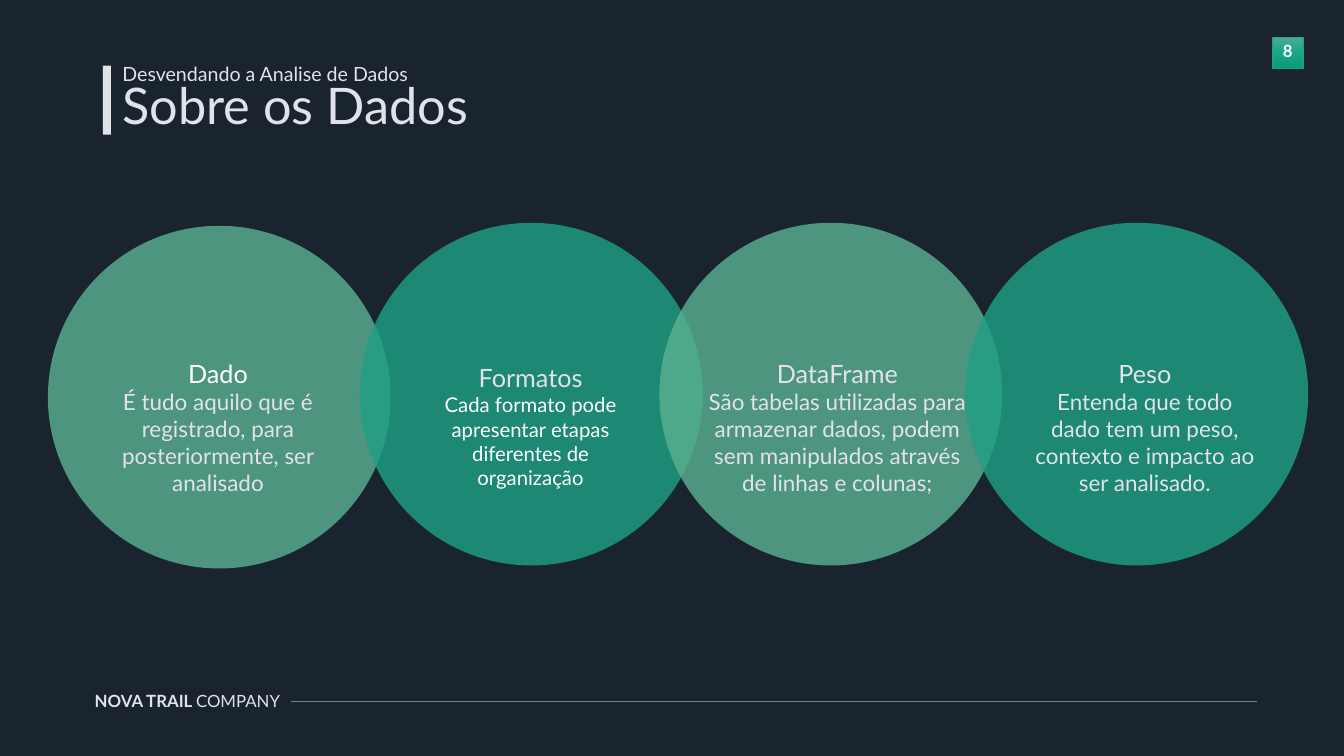
from copy import deepcopy

from lxml.etree import SubElement
from pptx import Presentation
from pptx.dml.color import RGBColor
from pptx.enum.shapes import MSO_CONNECTOR, MSO_SHAPE
from pptx.enum.text import MSO_ANCHOR, MSO_AUTO_SIZE, PP_ALIGN
from pptx.oxml.ns import qn
from pptx.util import Emu, Pt

EMU_PER_PX = 9144  # 100 px to the inch
FONT = "Lato"

NIGHT = RGBColor(0x19, 0x24, 0x2F)
MIST = RGBColor(0xE2, 0xE3, 0xE9)
WHITE = RGBColor(0xFF, 0xFF, 0xFF)
GREY = RGBColor(0x7F, 0x7F, 0x7F)
SAGE = RGBColor(0x5B, 0xB2, 0x92)
EMERALD = RGBColor(0x1E, 0xA1, 0x85)
BADGE_TOP = RGBColor(0x4B, 0xAC, 0x93)
BADGE_MIDDLE = RGBColor(0x16, 0xA7, 0x88)
BADGE_BOTTOM = RGBColor(0x0D, 0x99, 0x7B)

CIRCLE_SIZE = 680
CIRCLE_OPACITY = 80

# Circle: left, top, colour
CIRCLES = [
    (95, 448, SAGE),
    (714, 442, EMERALD),
    (1308, 442, SAGE),
    (1915, 442, EMERALD),
]

# Topic: box, heading, heading colour, description, size, description colour
TOPICS = [
    ((156, 697, 553, 303), "Dado", WHITE,
     "É tudo aquilo que é registrado, para posteriormente, ser analisado", 32, MIST),
    ((806, 706, 493, 283), "Formatos", MIST,
     "Cada formato pode apresentar etapas diferentes de organização", 29, WHITE),
    ((1367, 697, 588, 303), "DataFrame", MIST,
     "São tabelas utilizadas para armazenar dados, podem sem manipulados "
     "através de linhas e colunas;", 32, MIST),
    ((2024, 697, 494, 303), "Peso", MIST,
     "Entenda que todo dado tem um peso, contexto e impacto ao ser analisado.", 32, MIST),
]


def px(value):
    return Emu(value * EMU_PER_PX)


def place(shape, left, top, width, height):
    shape.left, shape.top = px(left), px(top)
    shape.width, shape.height = px(width), px(height)


def prepare_frame(frame, inset_x=10, inset_y=5):
    frame.word_wrap = True
    frame.auto_size = MSO_AUTO_SIZE.NONE
    frame.vertical_anchor = MSO_ANCHOR.TOP
    frame.margin_left = frame.margin_right = px(inset_x)
    frame.margin_top = frame.margin_bottom = px(inset_y)


def style_paragraph(para, size, color, align=PP_ALIGN.LEFT, bold=None):
    para.alignment = align
    para.font.name = FONT
    para.font.size = Pt(size)
    para.font.color.rgb = color
    para.font.bold = bold


def add_text_box(slide, bounds, inset_x=10, inset_y=5):
    box = slide.shapes.add_textbox(*map(px, bounds))
    prepare_frame(box.text_frame, inset_x, inset_y)
    return box.text_frame


def add_filled_shape(slide, kind, bounds, color):
    shape = slide.shapes.add_shape(kind, *map(px, bounds))
    shape.shadow.inherit = False
    shape.fill.solid()
    shape.fill.fore_color.rgb = color
    shape.line.fill.background()
    return shape


def add_circle(slide, left, top, color):
    circle = add_filled_shape(
        slide, MSO_SHAPE.OVAL, (left, top, CIRCLE_SIZE, CIRCLE_SIZE), color)
    color_element = circle._element.spPr.find(qn("a:solidFill"))[0]
    SubElement(color_element, qn("a:alpha"), val=str(CIRCLE_OPACITY * 1000))


def add_topic(slide, bounds, heading, heading_color, description, size, color):
    frame = add_text_box(slide, bounds, 27, 13)
    para = frame.paragraphs[0]
    para.text = heading
    style_paragraph(para, 36, heading_color, PP_ALIGN.CENTER)
    para = frame.add_paragraph()
    para.text = description
    style_paragraph(para, size, color, PP_ALIGN.CENTER)


def add_page_badge(slide, number):
    badge = add_filled_shape(slide, MSO_SHAPE.RECTANGLE, (2524, 73, 62, 62), BADGE_TOP)
    badge.line.color.rgb = EMERALD
    badge.line.width = Pt(0.75)
    badge.fill.gradient()
    badge.fill.gradient_angle = 270
    first_stop = badge._element.spPr.find(qn("a:gradFill")).find(qn("a:gsLst"))[0]
    first_stop.addnext(deepcopy(first_stop))
    colors = (BADGE_TOP, BADGE_MIDDLE, BADGE_BOTTOM)
    for stop, position, color in zip(badge.fill.gradient_stops, (0, 0.5, 1), colors):
        stop.position = position
        stop.color.rgb = color

    para = add_text_box(slide, (2514, 70, 81, 61), 20, 10).paragraphs[0]
    para.text = number
    style_paragraph(para, 24, WHITE, PP_ALIGN.CENTER, bold=True)


def add_footer(slide):
    para = add_text_box(slide, (178, 1365, 400, 50)).paragraphs[0]
    style_paragraph(para, 24, MIST)
    for text, bold in (("NOVA TRAIL ", True), ("COMPANY", False)):
        span = para.add_run()
        span.text = text
        span.font.bold = bold

    rule = slide.shapes.add_connector(
        MSO_CONNECTOR.STRAIGHT, px(577), px(1392), px(2494), px(1392))
    rule.line.color.rgb = GREY
    rule.line.width = Pt(1)
    SubElement(rule._element.spPr, qn("a:effectLst"))


def add_heading(slide):
    title = slide.shapes.title
    place(title, 233, 165, 1534, 111)
    prepare_frame(title.text_frame)
    para = title.text_frame.paragraphs[0]
    para.text = "Sobre os Dados"
    para.line_spacing = 0.8
    style_paragraph(para, 72, MIST)

    para = add_text_box(slide, (233, 118, 958, 57)).paragraphs[0]
    para.text = "Desvendando a Analise de Dados"
    style_paragraph(para, 28, MIST)

    add_filled_shape(slide, MSO_SHAPE.RECTANGLE, (204, 130, 16, 137), MIST)


def main():
    deck = Presentation()
    deck.slide_width, deck.slide_height = px(2666), px(1500)
    page = deck.slides.add_slide(deck.slide_layouts[5])
    page.background.fill.solid()
    page.background.fill.fore_color.rgb = NIGHT

    # Page frame
    add_page_badge(page, "8")
    add_footer(page)
    add_heading(page)

    # Overlapping circles, then their texts on top
    for circle in CIRCLES:
        add_circle(page, *circle)
    for topic in TOPICS:
        add_topic(page, *topic)

    deck.save("out.pptx")


if __name__ == "__main__":
    main()
